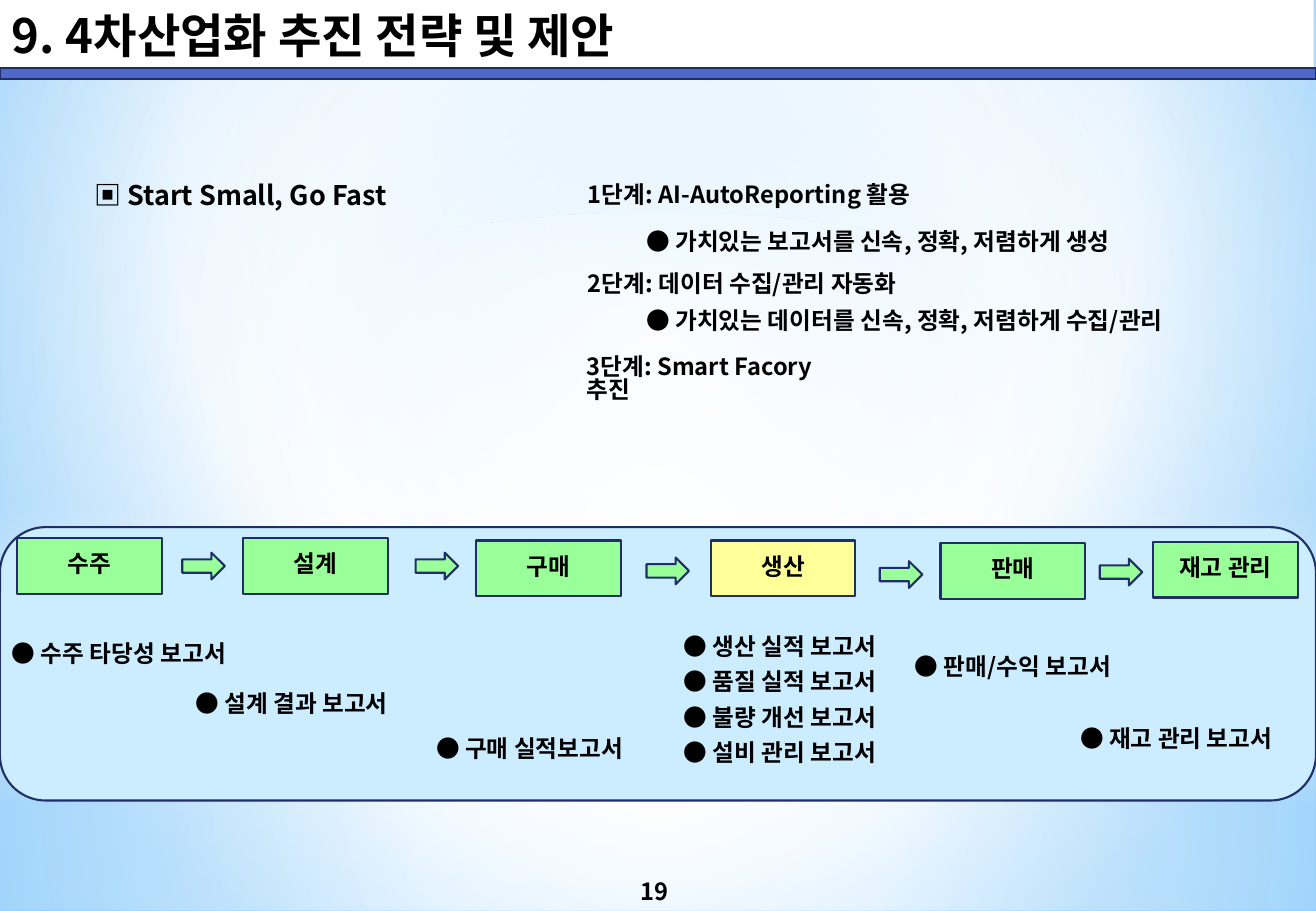
import lxml.etree
import pptx
import pptx.dml.color
import pptx.enum.shapes
import pptx.enum.text
import pptx.oxml.ns
import pptx.util

Inches = pptx.util.Inches
SHAPE = pptx.enum.shapes.MSO_SHAPE
ALIGN = pptx.enum.text.PP_ALIGN
ANCHOR = pptx.enum.text.MSO_ANCHOR
FONT = "Noto Sans CJK KR"
color = pptx.dml.color.RGBColor.from_string
qn = pptx.oxml.ns.qn

deck = pptx.Presentation()
deck.slide_width, deck.slide_height = Inches(10.83), Inches(7.5)
page = deck.slides.add_slide(deck.slide_layouts[6])


def draw(kind, left, top, width, height, fill, line=None):
    shape = page.shapes.add_shape(kind, *map(Inches, (left, top, width, height)))
    shape.shadow.inherit = False
    shape.fill.solid()
    shape.fill.fore_color.rgb = color(fill)
    if line:
        shape.line.color.rgb = color(line)
        shape.line.width = pptx.util.Pt(1.25)
    else:
        shape.line.fill.background()
    return shape


def write(shape, text, size=14, spacing=0.82, align=ALIGN.LEFT, anchor=ANCHOR.TOP, wrap=False):
    frame = shape.text_frame
    frame.word_wrap = wrap
    frame.vertical_anchor = anchor
    para = frame.paragraphs[0]
    para.alignment = align
    para.line_spacing = spacing
    span = para.add_run()
    span.text = text
    formats = {"name": FONT, "size": pptx.util.Pt(size), "bold": True}
    for name, value in formats.items():
        setattr(span.font, name, value)
    span.font.color.rgb = color("000000")
    # East Asian typeface
    lxml.etree.SubElement(span.font._element, qn("a:ea"), typeface=FONT)


# Backdrop: kind (None is the page), place, stops (position, colour, opacity), centre or angle
backdrop = [
    (None, None, [(0, "9ED5FF", 100), (60, "FFFFFF", 100), (100, "5BB9FF", 100)], (20, 10, 20, 60)),
    (SHAPE.RECTANGLE, (0, 5.58, 10.83, 1.92),
     [(0, "FFFFFF", 91), (37, "FFFFFF", 76), (100, "B4DCFA", 79)], (50, 50, 50, 50)),
    (SHAPE.RECTANGLE, (0, 0, 10.83, 5.58),
     [(0, "FFFFFF", 89), (48, "FFFFFF", 62), (100, "B4DCFA", 79)], (50, 50, 50, 50)),
    (SHAPE.RECTANGLE, (0, 4.12, 10.83, 2.5),
     [(0, "FFFFFF", 0), (29, "FFFFFF", 30), (45, "B4DCFA", 40), (55, "FFFFFF", 26),
      (65, "B4DCFA", 60), (100, "FFFFFF", 0)], 90),
    (SHAPE.OVAL, (0, 1.75, 10.83, 5.58),
     [(0, "FFFFFF", 100), (56, "FFFFFF", 0)], (50, 50, 50, 50)),
]
for kind, place, stops, direction in backdrop:
    if kind is None:
        page.background.fill.solid()
        page.background.fill.fore_color.rgb = color("FFFFFF")
        host = page.element
    else:
        host = draw(kind, *place, "FFFFFF")._element
    solid = host.find(".//" + qn("a:solidFill"))
    gradient = lxml.etree.Element(qn("a:gradFill"), rotWithShape="1")
    stop_list = lxml.etree.SubElement(gradient, qn("a:gsLst"))
    for position, tint, opacity in stops:
        stop = lxml.etree.SubElement(stop_list, qn("a:gs"), pos=str(position * 1000))
        shade = lxml.etree.SubElement(stop, qn("a:srgbClr"), val=tint)
        if opacity < 100:
            lxml.etree.SubElement(shade, qn("a:alpha"), val=str(opacity * 1000))
    if isinstance(direction, tuple):
        circle = lxml.etree.SubElement(gradient, qn("a:path"), path="circle")
        edges = {side: str(value * 1000) for side, value in zip("ltrb", direction)}
        lxml.etree.SubElement(circle, qn("a:fillToRect"), **edges)
    else:
        lxml.etree.SubElement(gradient, qn("a:lin"), ang=str(direction * 60000), scaled="0")
    solid.getparent().replace(solid, gradient)

# Title and bar
title = draw(SHAPE.RECTANGLE, 0, 0, 10.81, 0.57, "FFFFFF")
write(title, "9. 4차산업화 추진 전략 및 제안", size=28, spacing=1, anchor=ANCHOR.MIDDLE)
draw(SHAPE.RECTANGLE, 0, 0.56, 10.83, 0.09, "4E67C8", "1F2E69")

# Process panel with step boxes and the arrows between them
draw(SHAPE.ROUNDED_RECTANGLE, 0, 4.34, 10.83, 2.25, "CCECFF", "1F2E69")
steps = [
    ("수주", 0.14, 4.43, "99FF99"),
    ("설계", 2, 4.43, "99FF99"),
    ("구매", 3.92, 4.45, "99FF99"),
    ("생산", 5.85, 4.45, "FFFF99"),
    ("판매", 7.74, 4.47, "99FF99"),
    ("재고 관리", 9.49, 4.46, "99FF99"),
]
for label, left, top, fill in steps:
    box = draw(SHAPE.RECTANGLE, left, top, 1.19, 0.46, fill, "1F2E69")
    write(box, label, align=ALIGN.CENTER, anchor=ANCHOR.MIDDLE)
for left, top in [(1.5, 4.55), (3.42, 4.55), (5.32, 4.59), (7.24, 4.62), (9.05, 4.6)]:
    draw(SHAPE.RIGHT_ARROW, left, top, 0.35, 0.22, "99FF99", "1F2E69")

# Free text: wording, place, format
reports = {"spacing": 1.23}
texts = [
    ("▣ Start Small, Go Fast", (0.68, 1.47, 2.61, 0.37), {"size": 16}),
    ("1단계: AI-AutoReporting 활용", (4.74, 1.47, 2.9, 0.34), {"wrap": True}),
    ("● 가치있는 보고서를 신속, 정확, 저렴하게 생성", (5.22, 1.86, 4.44, 0.34), {}),
    ("2단계: 데이터 수집/관리 자동화", (4.74, 2.21, 3.01, 0.34), {}),
    ("● 가치있는 데이터를 신속, 정확, 저렴하게 수집/관리", (5.22, 2.51, 4.92, 0.34), {}),
    ("3단계: Smart Facory 추진", (4.73, 2.89, 2.45, 0.34), {"wrap": True}),
    ("● 수주 타당성 보고서", (0, 5.16, 2.17, 0.41), reports),
    ("● 설계 결과 보고서", (1.51, 5.57, 1.98, 0.41), reports),
    ("● 구매 실적보고서", (3.49, 5.94, 1.91, 0.41), reports),
    ("● 판매/수익 보고서", (7.43, 5.26, 2, 0.41), reports),
    ("● 재고 관리 보고서", (8.79, 5.86, 1.98, 0.41), reports),
    ("19", (4.26, 7, 2.26, 0.5),
     {"spacing": 1, "align": ALIGN.CENTER, "anchor": ANCHOR.BOTTOM, "wrap": True}),
]
for row, topic in enumerate(["생산 실적", "품질 실적", "불량 개선", "설비 관리"]):
    texts.append((f"● {topic} 보고서", (5.53, 5.1 + 0.29 * row, 1.98, 0.41), reports))
for text, place, style in texts:
    write(page.shapes.add_textbox(*map(Inches, place)), text, **style)

deck.save("out.pptx")
